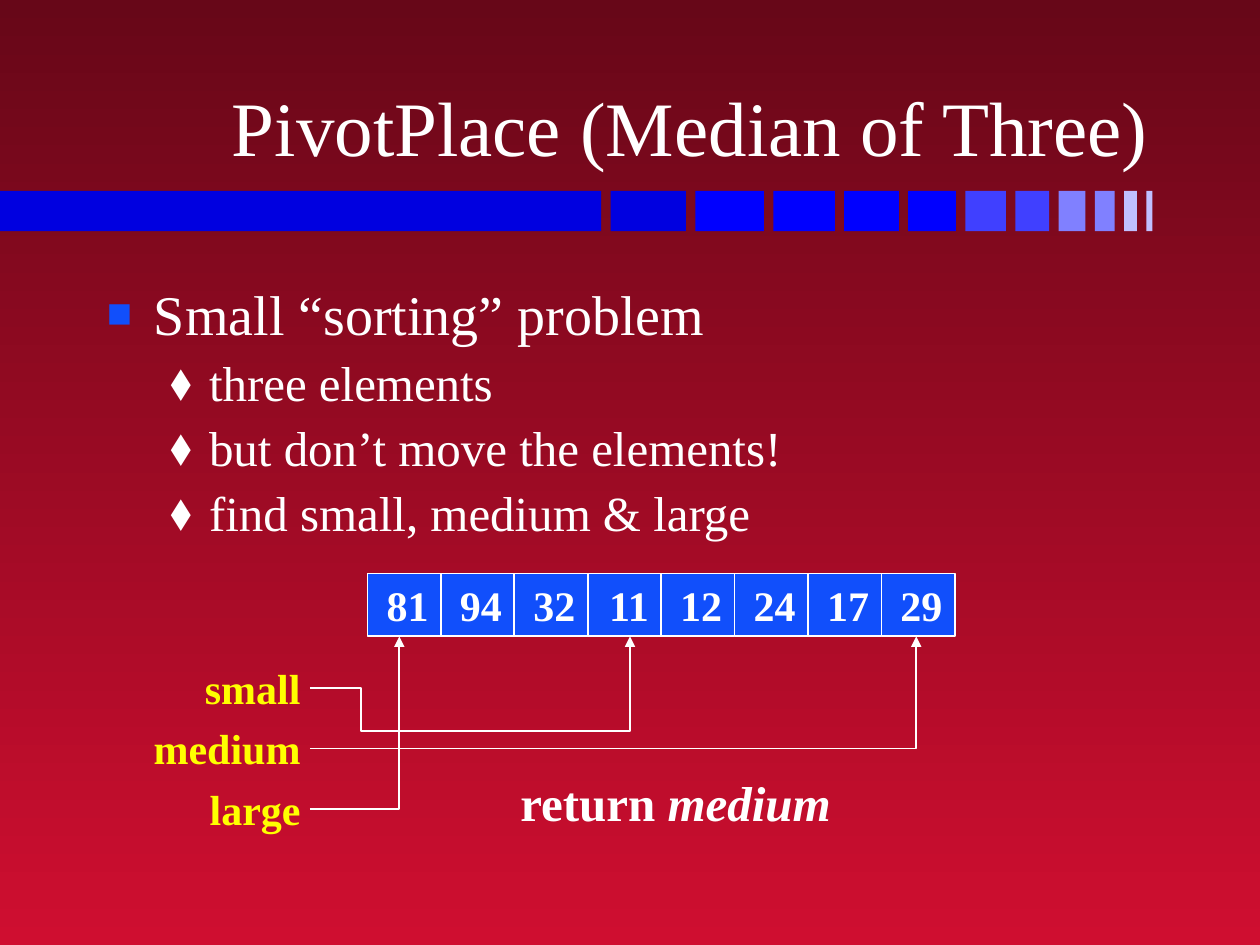
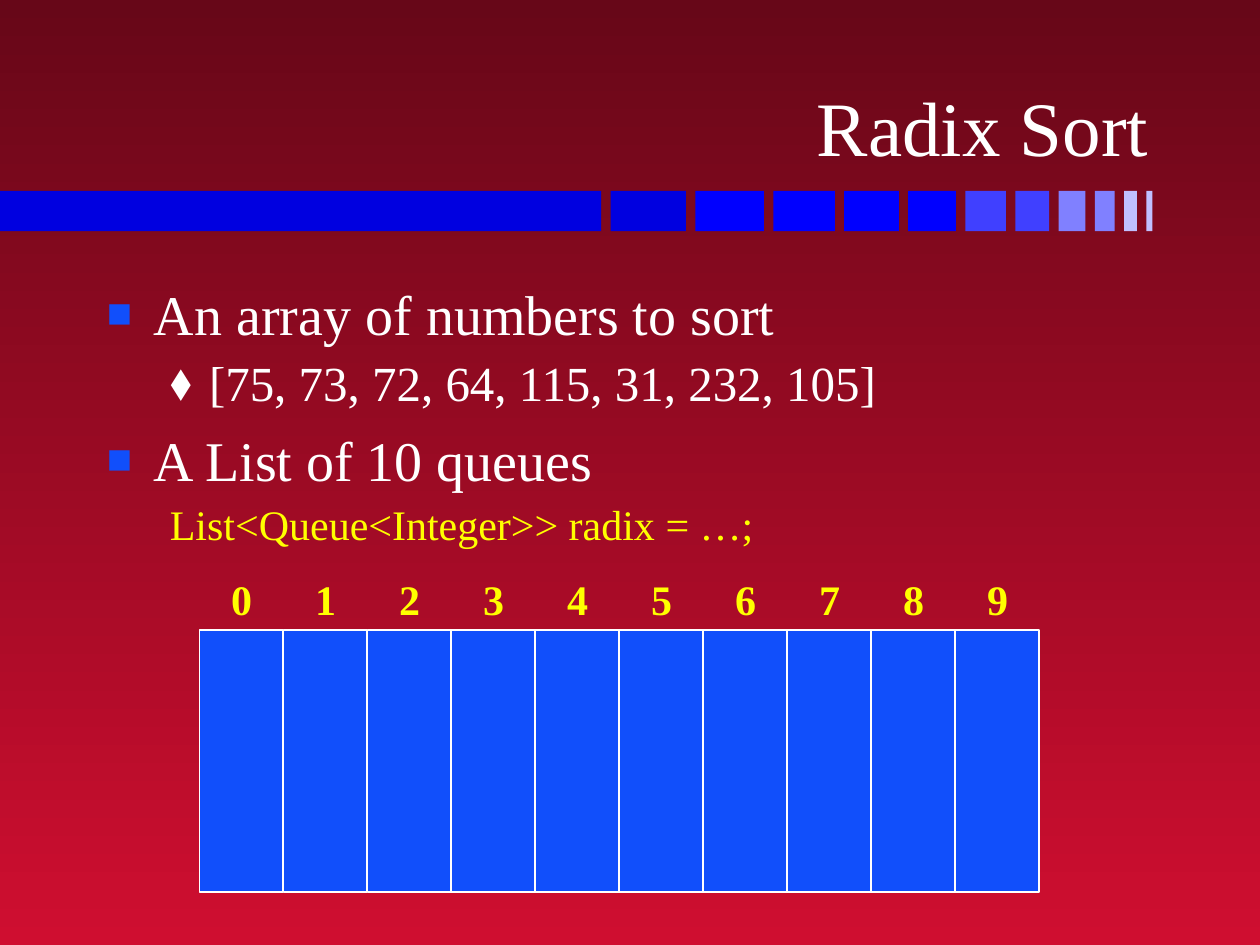
from lxml.etree import SubElement
from pptx import Presentation
from pptx.dml.color import RGBColor
from pptx.enum.shapes import MSO_CONNECTOR, MSO_SHAPE
from pptx.enum.text import MSO_ANCHOR, MSO_AUTO_SIZE, PP_ALIGN
from pptx.oxml.ns import qn
from pptx.util import Cm, Pt

COLORS = {
    "top": "670718", "bottom": "CF0E30", "white": "FFFFFF", "yellow": "FFFF00",
    "cell": "114FFB", "navy": "0000E0", "blue": "0000FF", "sky": "4040FF",
    "lilac": "8080FF", "pale": "C0C0FF",
}
FONT = "Times New Roman"
BAND_COLORS = ["navy"] * 2 + ["blue"] * 4 + ["sky"] * 2 + ["lilac"] * 2 + ["pale"] * 2
LIST_STYLES = {
    "topic": {"level": 0, "margin": 0.95, "hang": 0.95, "before": 8, "size": 32,
              "color": "white", "bullet": ("■", "cell", 75)},
    "detail": {"level": 1, "margin": 2.06, "hang": 0.79, "before": 3.5, "size": 28,
               "color": "white", "bullet": ("⬧", "white", 100)},
    "code": {"level": 1, "margin": 2.06, "hang": 0.79, "before": 3, "size": 24,
             "color": "yellow", "bullet": None},
}
ARROW_BASE = 13.87
CELL_BOTTOM = 12.83


def rgb(name):
    return RGBColor.from_string(COLORS[name])


def apply_format(target, values):
    for name, value in values.items():
        setattr(target, name, value)


def add_run(paragraph, text, size, color, bold=False, italic=False):
    run = paragraph.add_run()
    run.text = text
    apply_format(run.font, {"name": FONT, "size": Pt(size), "bold": bold, "italic": italic})
    run.font.color.rgb = rgb(color)


def add_box(slide, left, top, width, height, fill, outline=None):
    shape = slide.shapes.add_shape(
        MSO_SHAPE.RECTANGLE, Cm(left), Cm(top), Cm(width), Cm(height))
    shape.shadow.inherit = False
    shape.fill.solid()
    shape.fill.fore_color.rgb = rgb(fill)
    if outline:
        shape.line.color.rgb = rgb(outline)
        shape.line.width = Pt(1)
    else:
        shape.line.fill.background()
    return shape


def add_label(slide, left, top, width, height, parts, size, color, align=PP_ALIGN.LEFT):
    label = slide.shapes.add_textbox(Cm(left), Cm(top), Cm(width), Cm(height))
    apply_format(label.text_frame,
                 {"word_wrap": False, "auto_size": MSO_AUTO_SIZE.SHAPE_TO_FIT_TEXT})
    paragraph = label.text_frame.paragraphs[0]
    paragraph.alignment = align
    for text, italic in parts:
        add_run(paragraph, text, size, color, True, italic)


def add_line(slide, start, end, kind=MSO_CONNECTOR.STRAIGHT, arrow=False):
    line = slide.shapes.add_connector(kind, *(Cm(value) for value in start + end))
    line.line.color.rgb = rgb("white")
    line.line.width = Pt(1)
    properties = line.element.spPr
    if arrow:
        SubElement(properties.find(qn("a:ln")), qn("a:tailEnd"), type="triangle")
    SubElement(properties, qn("a:effectLst"))
    return line


def add_elbow(slide, start, end, preset, adjustments=()):
    elbow = add_line(slide, start, end, MSO_CONNECTOR.ELBOW)
    geometry = elbow.element.spPr.find(qn("a:prstGeom"))
    geometry.set("prst", preset)
    guides = geometry.find(qn("a:avLst"))
    for number, ratio in enumerate(adjustments, 1):
        SubElement(guides, qn("a:gd"), name=f"adj{number}",
                   fmla=f"val {round(ratio * 100000)}")


def set_bullet(paragraph, style):
    properties = paragraph._p.get_or_add_pPr()
    properties.set("marL", str(Cm(style["margin"])))
    properties.set("indent", str(-Cm(style["hang"])))
    if style["bullet"] is None:
        SubElement(properties, qn("a:buNone"))
        return
    character, color, percent = style["bullet"]
    SubElement(SubElement(properties, qn("a:buClr")), qn("a:srgbClr"), val=COLORS[color])
    SubElement(properties, qn("a:buSzPct"), val=str(percent * 1000))
    SubElement(properties, qn("a:buFont"), typeface=FONT)
    SubElement(properties, qn("a:buChar"), char=character)


def place(shape, left, top, width, height):
    apply_format(shape, {"left": Cm(left), "top": Cm(top),
                         "width": Cm(width), "height": Cm(height)})


def add_content_slide(presentation, title, items):
    slide = presentation.slides.add_slide(presentation.slide_layouts[1])
    heading, body = slide.placeholders
    place(heading, 1.87, 0.48, 21.54, 3.12)
    apply_format(heading.text_frame, {"vertical_anchor": MSO_ANCHOR.BOTTOM,
                                      "auto_size": MSO_AUTO_SIZE.NONE})
    paragraph = heading.text_frame.paragraphs[0]
    paragraph.alignment = PP_ALIGN.RIGHT
    add_run(paragraph, title, 44, "white")

    place(body, 1.9, 5.51, 21.59, 11.43)
    frame = body.text_frame
    frame.auto_size = MSO_AUTO_SIZE.NONE
    for index, (kind, text) in enumerate(items):
        style = LIST_STYLES[kind]
        paragraph = frame.add_paragraph() if index else frame.paragraphs[0]
        set_bullet(paragraph, style)
        apply_format(paragraph, {"level": style["level"],
                                 "space_before": Pt(style["before"] if index else 0)})
        add_run(paragraph, text, style["size"], style["color"])
    return slide


def style_master(presentation, slide):
    master = presentation.slide_master
    fill = master.background.fill
    fill.gradient()
    fill.gradient_angle = 270
    for stop, color, position in zip(fill.gradient_stops, ("top", "bottom"), (0, 1)):
        stop.color.rgb = rgb(color)
        stop.position = position
    left = 0
    for index, color in enumerate(BAND_COLORS):
        width = 1.66 - 0.14 * index if index else 12.12
        band = add_box(slide, left, 3.85, width, 0.81, color)
        master.shapes.element.append(band.element)
        left += width + 0.19


def add_number_array(slide, numbers):
    width = 1.48
    for index, number in enumerate(numbers):
        cell = add_box(slide, 7.41 + index * width, 11.56, width, 1.27, "cell", "white")
        apply_format(cell.text_frame,
                     {"word_wrap": False, "vertical_anchor": MSO_ANCHOR.MIDDLE})
        paragraph = cell.text_frame.paragraphs[0]
        paragraph.alignment = PP_ALIGN.RIGHT
        add_run(paragraph, str(number), 24, "white", True)


def add_pointers(slide):
    label_right, line_left, pitch = 6.31, 6.25, 1.22
    small_x, medium_x, large_x = 12.7, 18.47, 8.05
    for row, (name, width) in enumerate((("small", 2.55), ("medium", 3.7), ("large", 2.45))):
        add_label(slide, label_right - width, 13.23 + row * pitch, width, 1.27,
                  [(name, False)], 24, "yellow", PP_ALIGN.RIGHT)
    for x in (large_x, small_x, medium_x):
        add_line(slide, (x, ARROW_BASE), (x, CELL_BOTTOM), arrow=True)
    rise, drop = 0.01, 0.86
    add_elbow(slide, (line_left, ARROW_BASE), (small_x, ARROW_BASE + rise),
              "bentConnector4", (0.16, drop / rise))
    for row, x in ((1, medium_x), (2, large_x)):
        add_elbow(slide, (line_left, ARROW_BASE + row * pitch), (x, ARROW_BASE),
                  "bentConnector2")


def add_queues(slide, count):
    left, width, label_width = 4.02, 16.93 / count, 0.91
    for digit in range(count):
        x = left + digit * width
        add_box(slide, x, 12.7, width, 5.29, "cell", "white")
        add_label(slide, x + (width - label_width) / 2, 11.43, label_width, 1.27,
                  [(str(digit), False)], 24, "yellow")


def main():
    presentation = Presentation()
    presentation.slide_width, presentation.slide_height = Cm(25.4), Cm(19.05)

    pivot = add_content_slide(presentation, "PivotPlace (Median of Three)", [
        ("topic", "Small “sorting” problem"),
        ("detail", "three elements"),
        ("detail", "but don’t move the elements!"),
        ("detail", "find small, medium & large"),
    ])
    style_master(presentation, pivot)
    add_number_array(pivot, (81, 94, 32, 11, 12, 24, 17, 29))
    add_pointers(pivot)
    add_label(pivot, 10.24, 15.44, 6.78, 1.45,
              [("return ", False), ("medium", True)], 28, "white")

    radix = add_content_slide(presentation, "Radix Sort", [
        ("topic", "An array of numbers to sort"),
        ("detail", "[75, 73, 72, 64, 115, 31, 232, 105]"),
        ("topic", "A List of 10 queues"),
        ("code", "List<Queue<Integer>> radix = …;"),
    ])
    add_queues(radix, 10)
    presentation.save("out.pptx")


if __name__ == "__main__":
    main()
